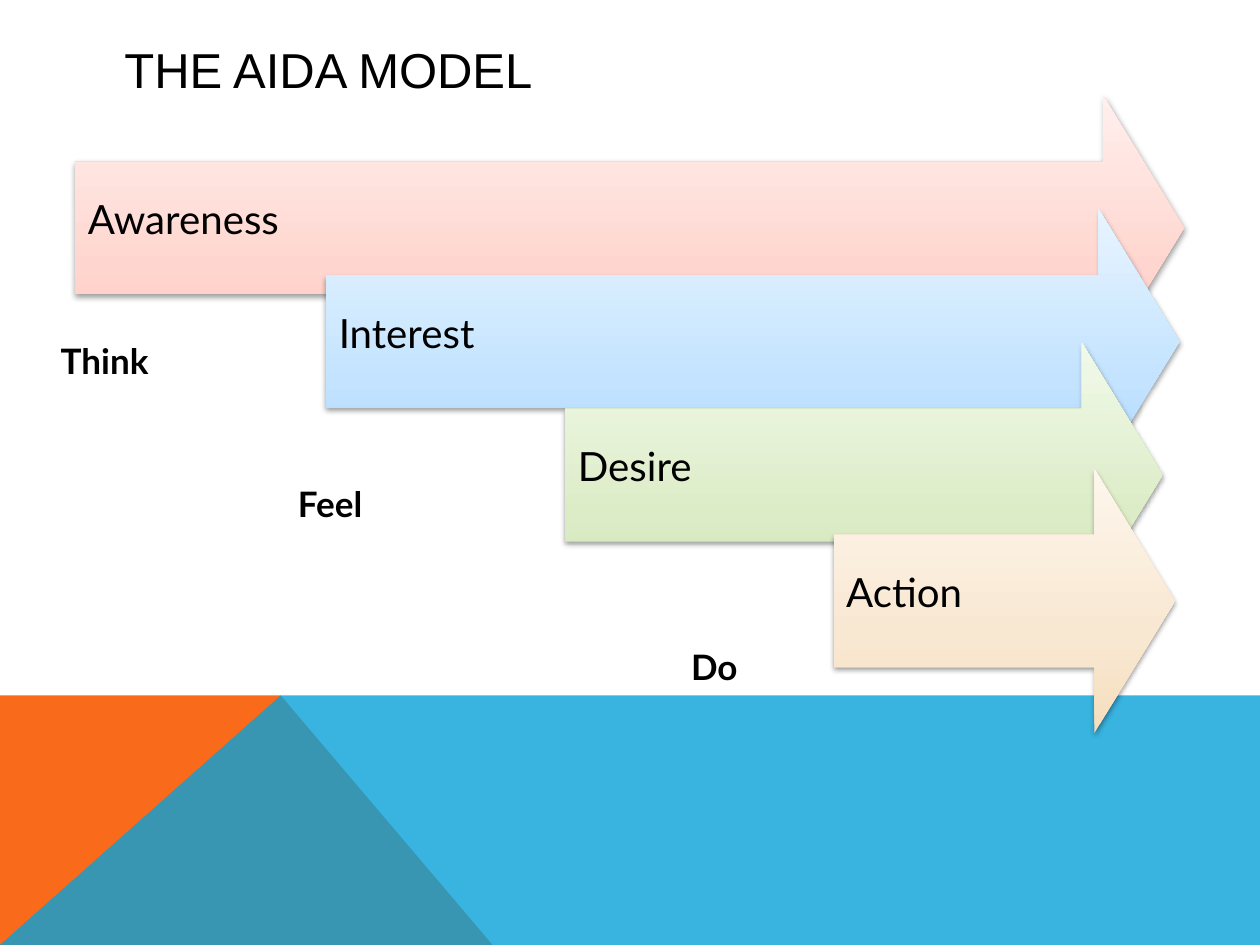
from copy import deepcopy

from lxml import etree
from pptx import Presentation
from pptx.dml.color import RGBColor
from pptx.enum.shapes import MSO_SHAPE
from pptx.enum.text import MSO_ANCHOR, PP_ALIGN
from pptx.oxml.ns import qn
from pptx.util import Cm, Pt

ARROW = MSO_SHAPE.RIGHT_ARROW
MIDDLE = MSO_ANCHOR.MIDDLE
LEFT, CENTER = PP_ALIGN.LEFT, PP_ALIGN.CENTER

WIDE, HIGH = 25.4, 19.05
BAND = 14.02
PEAK = 5.66
TALL, HEAD = 5.33, 1.63

COLORS = {
    "black": "000000",
    "orange": "F96A1B",
    "blue": "08A1D9",
}
STEPS = [
    ("Awareness", 1.52, 1.93, 22.35, ("FFC5BA", "FFD6CF", "FFEFED")),
    ("Interest", 6.58, 4.22, 17.2, ("ABD8FF", "C3E3FF", "E8F4FF")),
    ("Desire", 11.4, 6.91, 12.04, ("CDE6AF", "DCECC7", "F1F9E9")),
    ("Action", 16.81, 9.45, 6.88, ("F6DEBD", "F8E7D1", "FDF6EC")),
]
STAGES = [
    ("Think", 0.84, 6.71, 2.54),
    ("Feel", 3.38, 9.6, 6.55),
    ("Do", 13.13, 12.88, 2.54),
]


def add_child(parent, tag, **attrs):
    return etree.SubElement(parent, qn(tag), attrs)


def set_text(frame, text, size, font, align, bold=False):
    frame.word_wrap = True
    para = frame.paragraphs[0]
    para.text = text
    para.alignment = align
    para.font.size = Pt(size)
    para.font.name = font
    para.font.bold = bold
    para.font.color.rgb = RGBColor.from_string(COLORS["black"])
    return para


def add_label(slide, text, x, y, w, h, size, font, align, bold=False):
    frame = slide.shapes.add_textbox(Cm(x), Cm(y), Cm(w), Cm(h)).text_frame
    set_text(frame, text, size, font, align, bold)
    return frame


def add_area(slide, points, color, alpha=100):
    (x, y), *rest = [(Cm(a), Cm(b)) for a, b in points]
    build = slide.shapes.build_freeform(x, y)
    build.add_line_segments(rest, close=True)
    area = build.convert_to_shape()
    area.shadow.inherit = False
    area.line.fill.background()
    area.fill.solid()
    area.fill.fore_color.rgb = RGBColor.from_string(COLORS[color])
    if alpha < 100:
        tone = area._element.spPr.find(qn("a:solidFill"))[0]
        add_child(tone, "a:alpha", val=str(alpha * 1000))


def fill_fade(shape, tones):
    shape.fill.gradient()
    shape.fill.gradient_angle = 90
    stops = shape._element.spPr.find(".//" + qn("a:gsLst"))
    stops.append(deepcopy(stops[-1]))
    for stop, place, tone in zip(shape.fill.gradient_stops, (0, 0.35, 1), tones):
        stop.position = place
        stop.color.rgb = RGBColor.from_string(tone)


def add_shade(shape):
    shape.shadow.inherit = False
    effects = shape._element.spPr.find(qn("a:effectLst"))
    shade = add_child(effects, "a:outerShdw", blurRad="40000", dist="20000",
                      dir="5400000", rotWithShape="0")
    tone = add_child(shade, "a:srgbClr", val=COLORS["black"])
    add_child(tone, "a:alpha", val="38000")


def add_step(slide, text, x, y, w, tones):
    arrow = slide.shapes.add_shape(ARROW, Cm(x), Cm(y), Cm(w), Cm(TALL))
    arrow.adjustments[0] = 0.5
    arrow.adjustments[1] = HEAD / TALL
    arrow.line.fill.background()
    fill_fade(arrow, tones)
    add_shade(arrow)
    frame = arrow.text_frame
    frame.vertical_anchor = MIDDLE
    frame.margin_left = frame.margin_bottom = Cm(0.25)
    frame.margin_top = frame.margin_right = 0
    para = set_text(frame, text, 23, "Lato", LEFT)
    para.line_spacing = 0.9
    para.space_after = Pt(8)


def main():
    deck = Presentation()
    deck.slide_width, deck.slide_height = Cm(WIDE), Cm(HIGH)
    slide = deck.slides.add_slide(deck.slide_layouts[6])
    add_area(slide, [(0, HIGH), (0, BAND), (PEAK, BAND), (9.93, HIGH)], "orange")
    add_area(slide, [(0, HIGH), (PEAK, BAND), (WIDE, BAND), (WIDE, HIGH)],
             "blue", 80)
    title = add_label(slide, "THE AIDA MODEL", 2.26, 0.64, 20.88, 1.52,
                      28, "Arial", LEFT)
    title.vertical_anchor = MIDDLE
    for step in STEPS:
        add_step(slide, *step)
    for text, x, y, w in STAGES:
        add_label(slide, text, x, y, w, 1.12, 20, "Lato", CENTER, True)
    deck.save("out.pptx")


if __name__ == "__main__":
    main()
